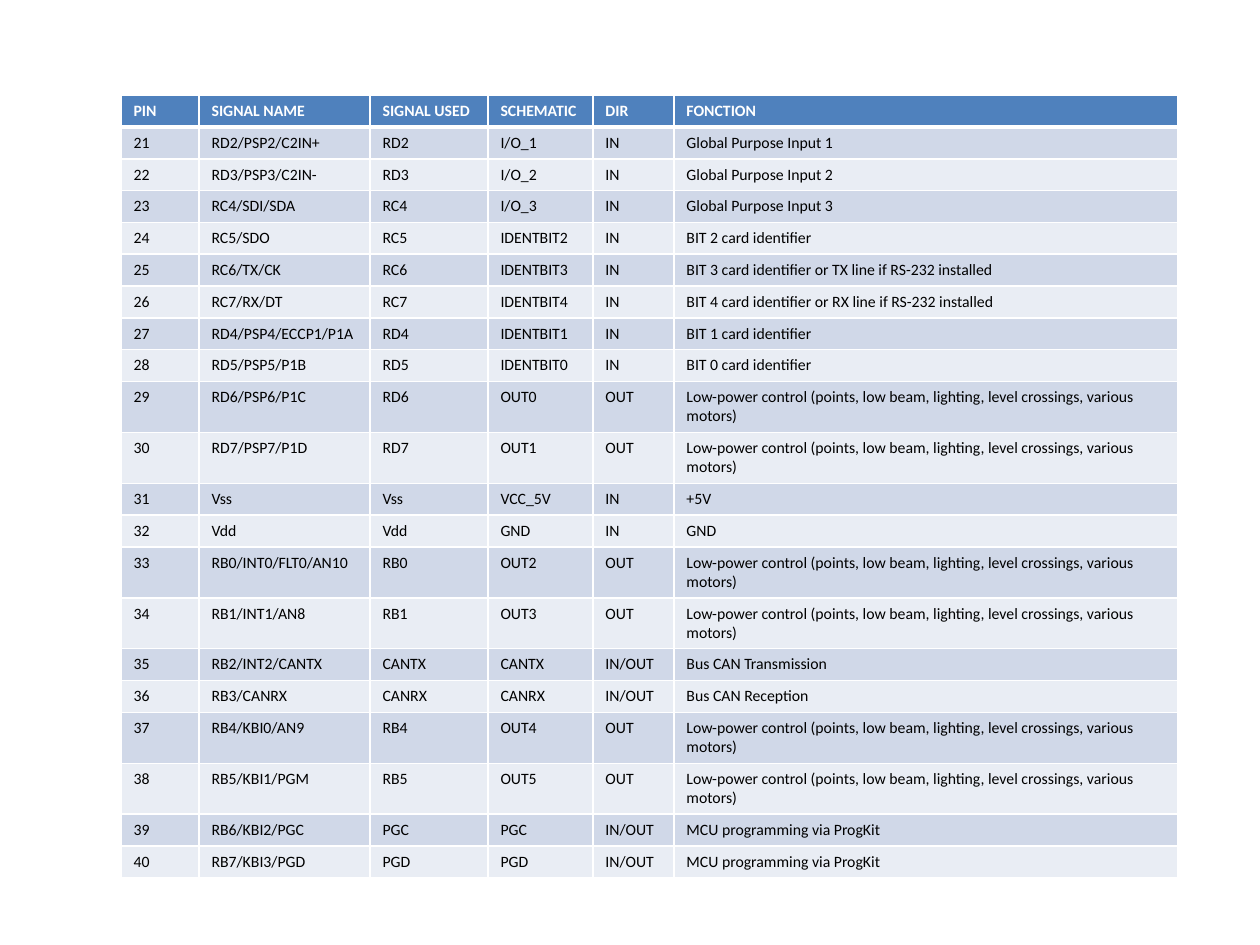
from lxml.etree import SubElement
from pptx import Presentation
from pptx.dml.color import RGBColor
from pptx.oxml.ns import qn
from pptx.util import Pt

PX = 914400 // 126
LEFT, TOP, TABLE_HEIGHT = 121, 95, 775
HEADER_HEIGHT, ROW_HEIGHT = 32, 23
WHITE, BLACK, HEADER_FILL = "FFFFFF", "000000", "4F81BD"
BAND_FILLS = ("D0D8E8", "E9EDF4")
FIRST_PIN = 21
LOW_POWER = "Low-power control (points, low beam, lighting, level crossings, various motors)"
PROGRAMMING = "MCU programming via ProgKit"

COLUMNS = [
    ("PIN", 78),
    ("SIGNAL NAME", 171),
    ("SIGNAL USED", 118),
    ("SCHEMATIC", 105),
    ("DIR", 81),
    ("FONCTION", 504),
]
SIGNALS = [
    ("RD2/PSP2/C2IN+", "RD2", "I/O_1", "IN", "Global Purpose Input 1"),
    ("RD3/PSP3/C2IN-", "RD3", "I/O_2", "IN", "Global Purpose Input 2"),
    ("RC4/SDI/SDA", "RC4", "I/O_3", "IN", "Global Purpose Input 3"),
    ("RC5/SDO", "RC5", "IDENTBIT2", "IN", "BIT 2 card identifier"),
    ("RC6/TX/CK", "RC6", "IDENTBIT3", "IN", "BIT 3 card identifier or TX line if RS-232 installed"),
    ("RC7/RX/DT", "RC7", "IDENTBIT4", "IN", "BIT 4 card identifier or RX line if RS-232 installed"),
    ("RD4/PSP4/ECCP1/P1A", "RD4", "IDENTBIT1", "IN", "BIT 1 card identifier"),
    ("RD5/PSP5/P1B", "RD5", "IDENTBIT0", "IN", "BIT 0 card identifier"),
    ("RD6/PSP6/P1C", "RD6", "OUT0", "OUT", LOW_POWER),
    ("RD7/PSP7/P1D", "RD7", "OUT1", "OUT", LOW_POWER),
    ("Vss", "Vss", "VCC_5V", "IN", "+5V"),
    ("Vdd", "Vdd", "GND", "IN", "GND"),
    ("RB0/INT0/FLT0/AN10", "RB0", "OUT2", "OUT", LOW_POWER),
    ("RB1/INT1/AN8", "RB1", "OUT3", "OUT", LOW_POWER),
    ("RB2/INT2/CANTX", "CANTX", "CANTX", "IN/OUT", "Bus CAN Transmission"),
    ("RB3/CANRX", "CANRX", "CANRX", "IN/OUT", "Bus CAN Reception"),
    ("RB4/KBI0/AN9", "RB4", "OUT4", "OUT", LOW_POWER),
    ("RB5/KBI1/PGM", "RB5", "OUT5", "OUT", LOW_POWER),
    ("RB6/KBI2/PGC", "PGC", "PGC", "IN/OUT", PROGRAMMING),
    ("RB7/KBI3/PGD", "PGD", "PGD", "IN/OUT", PROGRAMMING),
]


def color(value):
    return RGBColor.from_string(value)


def set_borders(cell, top, bottom):
    properties = cell._tc.get_or_add_tcPr()
    for side, width in (("L", 1), ("R", 1), ("T", top), ("B", bottom)):
        line = SubElement(properties, qn(f"a:ln{side}"), w=str(Pt(width)))
        fill = SubElement(line, qn("a:solidFill"))
        SubElement(fill, qn("a:srgbClr"), val=WHITE)


def format_cell(cell, text, row_index):
    header = row_index == 0
    set_borders(cell, 3 if row_index == 1 else 1, 3 if header else 1)
    cell.fill.solid()
    cell.fill.fore_color.rgb = color(HEADER_FILL if header else BAND_FILLS[(row_index - 1) % 2])
    cell.text = text
    font = cell.text_frame.paragraphs[0].font
    font.name, font.size, font.bold = "Calibri", Pt(9), header
    font.color.rgb = color(WHITE if header else BLACK)


def main():
    presentation = Presentation()
    presentation.slide_width, presentation.slide_height = 1260 * PX, 945 * PX
    slide = presentation.slides.add_slide(presentation.slide_layouts[6])

    rows = [[name for name, _ in COLUMNS]]
    rows += [(str(pin), *signal) for pin, signal in enumerate(SIGNALS, FIRST_PIN)]
    table_width = sum(width for _, width in COLUMNS)
    frame = slide.shapes.add_table(
        len(rows), len(COLUMNS), LEFT * PX, TOP * PX, table_width * PX, TABLE_HEIGHT * PX
    )
    table = frame.table
    for column, (_, width) in zip(table.columns, COLUMNS):
        column.width = width * PX
    for row_index, (row, texts) in enumerate(zip(table.rows, rows)):
        row.height = (ROW_HEIGHT if row_index else HEADER_HEIGHT) * PX
        for cell, text in zip(row.cells, texts):
            format_cell(cell, text, row_index)
    frame.height = TABLE_HEIGHT * PX

    presentation.save("out.pptx")


if __name__ == "__main__":
    main()
